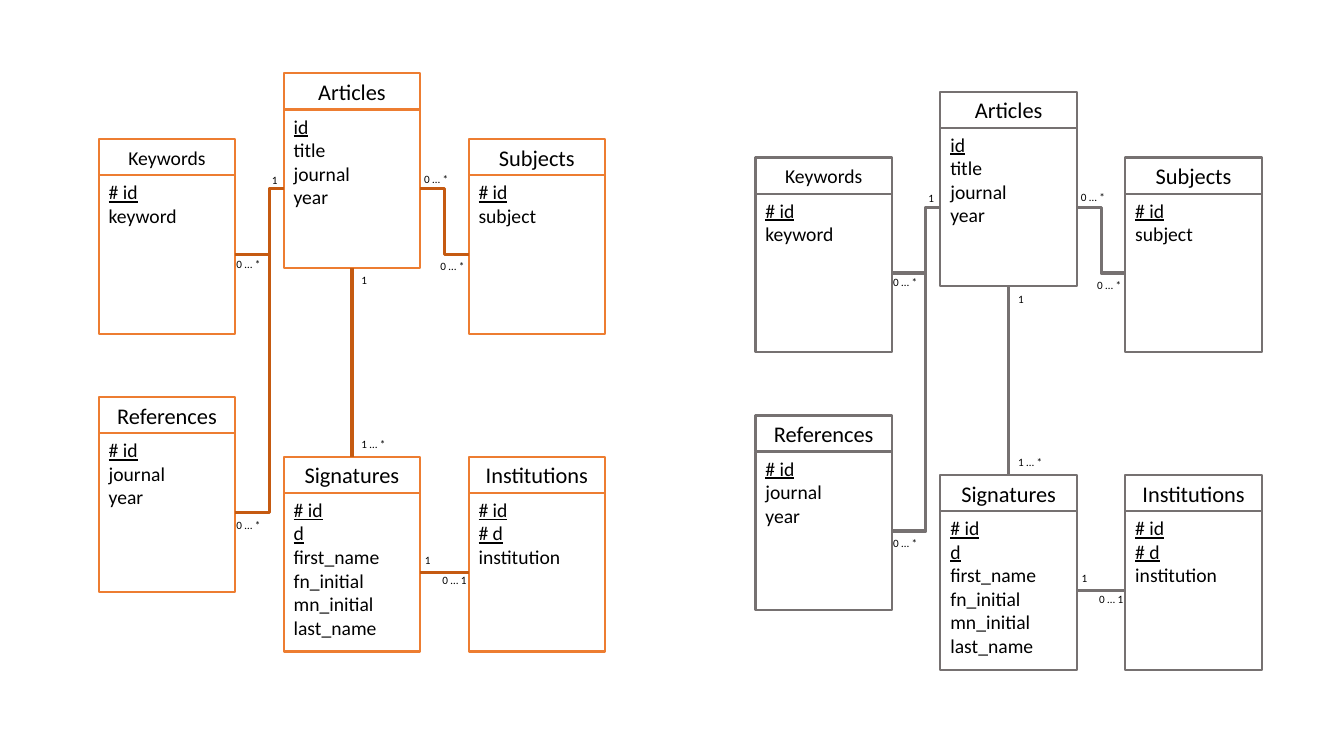
from dataclasses import dataclass

from lxml import etree
from pptx import Presentation
from pptx.dml.color import RGBColor
from pptx.enum.shapes import MSO_CONNECTOR, MSO_SHAPE
from pptx.enum.text import MSO_ANCHOR, MSO_AUTO_SIZE, PP_ALIGN
from pptx.oxml.ns import qn
from pptx.shapes.autoshape import Shape
from pptx.slide import Slide
from pptx.text.text import Font
from pptx.util import Cm, Pt

RECTANGLE = MSO_SHAPE.RECTANGLE
STRAIGHT, ELBOW = MSO_CONNECTOR.STRAIGHT, MSO_CONNECTOR.ELBOW
TOP, MIDDLE = MSO_ANCHOR.TOP, MSO_ANCHOR.MIDDLE
LEFT, CENTER = PP_ALIGN.LEFT, PP_ALIGN.CENTER
GROW = MSO_AUTO_SIZE.SHAPE_TO_FIT_TEXT
SITE_TOP, SITE_LEFT, SITE_BOTTOM, SITE_RIGHT = range(4)


@dataclass(frozen=True)
class Theme:
    font: str = "Calibri"
    text: RGBColor = RGBColor(0x00, 0x00, 0x00)
    fill: RGBColor = RGBColor(0xFF, 0xFF, 0xFF)
    orange: RGBColor = RGBColor(0xED, 0x7D, 0x31)
    dark_orange: RGBColor = RGBColor(0xC5, 0x5A, 0x11)
    gray: RGBColor = RGBColor(0x76, 0x71, 0x71)
    title_size: float = 16
    field_size: float = 14
    label_size: float = 8
    border: float = 1.5
    link: float = 2.25


@dataclass(frozen=True)
class Entity:
    title: str
    column: int
    top: float
    fields: tuple[str, ...]
    key_count: int = 1
    title_size: float = Theme.title_size


@dataclass(frozen=True)
class Link:
    start: str
    start_site: int
    end: str
    end_site: int
    bend: float | None = None


@dataclass(frozen=True)
class Multiplicity:
    text: str
    left: float
    top: float


@dataclass(frozen=True)
class Diagram:
    dx: float
    dy: float
    border: RGBColor
    link: RGBColor


@dataclass(frozen=True)
class EntityShapes:
    header: Shape
    body: Shape


THEME = Theme()
FIRST_COLUMN, COLUMN_STEP = 2.49, 4.66
ENTITY_WIDTH, HEADER_HEIGHT, BODY_HEIGHT = 3.44, 0.91, 4.0
LABEL_WIDTH, LABEL_HEIGHT = 1.2, 0.6

ENTITIES = (
    Entity("Articles", 1, 1.85, ("id", "title", "journal", "year")),
    Entity("Institutions", 2, 11.51, ("# id", "# d", "institution"), key_count=2),
    Entity("Subjects", 2, 3.51, ("# id", "subject")),
    Entity("References", 0, 10.01, ("# id", "journal", "year")),
    Entity("Signatures", 1, 11.51,
           ("# id", "d", "first_name", "fn_initial", "mn_initial", "last_name"), key_count=2),
    Entity("Keywords", 0, 3.51, ("# id", "keyword"), title_size=THEME.field_size),
)
LINKS = (
    Link("Institutions", SITE_LEFT, "Signatures", SITE_RIGHT),
    Link("Signatures", SITE_TOP, "Articles", SITE_BOTTOM),
    Link("Articles", SITE_LEFT, "Keywords", SITE_RIGHT, bend=0.3),
    Link("Articles", SITE_LEFT, "References", SITE_RIGHT, bend=0.3),
    Link("Articles", SITE_RIGHT, "Subjects", SITE_LEFT, bend=0.5),
)
MULTIPLICITIES = (
    Multiplicity("1", 8.86, 6.77),
    Multiplicity("0 … 1", 10.9, 14.33),
    Multiplicity("1", 10.46, 13.82),
    Multiplicity("0 … *", 5.71, 6.35),
    Multiplicity("0 … *", 5.71, 12.94),
    Multiplicity("1", 6.6, 4.24),
    Multiplicity("0 … *", 10.85, 6.42),
    Multiplicity("1 … *", 8.86, 10.9),
    Multiplicity("0 … *", 10.44, 4.22),
)
DIAGRAMS = (
    Diagram(0, 0, THEME.orange, THEME.dark_orange),
    Diagram(16.55, 0.46, THEME.gray, THEME.gray),
)


def style_font(font: Font, size: float) -> None:
    font.name = THEME.font
    font.size = Pt(size)
    font.color.rgb = THEME.text


def draw_entity(slide: Slide, entity: Entity, diagram: Diagram) -> EntityShapes:
    group = slide.shapes.add_group_shape()
    left = FIRST_COLUMN + entity.column * COLUMN_STEP + diagram.dx
    top = entity.top + diagram.dy

    def draw_compartment(y: float, height: float, lines: tuple[str, ...], size: float,
                         anchor: MSO_ANCHOR, alignment: PP_ALIGN, underlined: int) -> Shape:
        compartment = group.shapes.add_shape(
            RECTANGLE, Cm(left), Cm(y), Cm(ENTITY_WIDTH), Cm(height))
        compartment.shadow.inherit = False
        compartment.fill.solid()
        compartment.fill.fore_color.rgb = THEME.fill
        compartment.line.color.rgb = diagram.border
        compartment.line.width = Pt(THEME.border)
        frame = compartment.text_frame
        frame.vertical_anchor = anchor
        frame.text = "\n".join(lines)
        for index, paragraph in enumerate(frame.paragraphs):
            paragraph.alignment = alignment
            style_font(paragraph.font, size)
            paragraph.font.underline = index < underlined
        return compartment

    header = draw_compartment(top, HEADER_HEIGHT, (entity.title,), entity.title_size,
                              MIDDLE, CENTER, 0)
    body = draw_compartment(top + HEADER_HEIGHT, BODY_HEIGHT, entity.fields,
                            THEME.field_size, TOP, LEFT, entity.key_count)
    return EntityShapes(header, body)


def draw_link(slide: Slide, link: Link, entities: dict[str, EntityShapes],
              color: RGBColor) -> None:
    def compartment(title: str, site: int) -> Shape:
        return entities[title].header if site == SITE_TOP else entities[title].body

    kind = STRAIGHT if link.bend is None else ELBOW
    connector = slide.shapes.add_connector(kind, 0, 0, 0, 0)
    connector.begin_connect(compartment(link.start, link.start_site), link.start_site)
    connector.end_connect(compartment(link.end, link.end_site), link.end_site)
    connector.line.color.rgb = color
    connector.line.width = Pt(THEME.link)
    properties = connector._element.spPr
    etree.SubElement(properties, qn("a:effectLst"))
    if link.bend is not None:
        adjustments = properties.find(qn("a:prstGeom")).find(qn("a:avLst"))
        etree.SubElement(adjustments, qn("a:gd"), name="adj1",
                         fmla=f"val {round(link.bend * 100000)}")


def draw_multiplicity(slide: Slide, label: Multiplicity, diagram: Diagram) -> None:
    box = slide.shapes.add_textbox(Cm(label.left + diagram.dx), Cm(label.top + diagram.dy),
                                   Cm(LABEL_WIDTH), Cm(LABEL_HEIGHT))
    frame = box.text_frame
    frame.word_wrap = True
    frame.auto_size = GROW
    frame.text = label.text
    style_font(frame.paragraphs[0].font, THEME.label_size)


def draw_diagram(slide: Slide, diagram: Diagram) -> None:
    entities = {entity.title: draw_entity(slide, entity, diagram) for entity in ENTITIES}
    for link in LINKS:
        draw_link(slide, link, entities, diagram.link)
    for label in MULTIPLICITIES:
        draw_multiplicity(slide, label, diagram)


presentation = Presentation()
presentation.slide_width, presentation.slide_height = Cm(33.87), Cm(19.05)
schema_slide = presentation.slides.add_slide(presentation.slide_layouts[6])
for schema in DIAGRAMS:
    draw_diagram(schema_slide, schema)
presentation.save("out.pptx")
